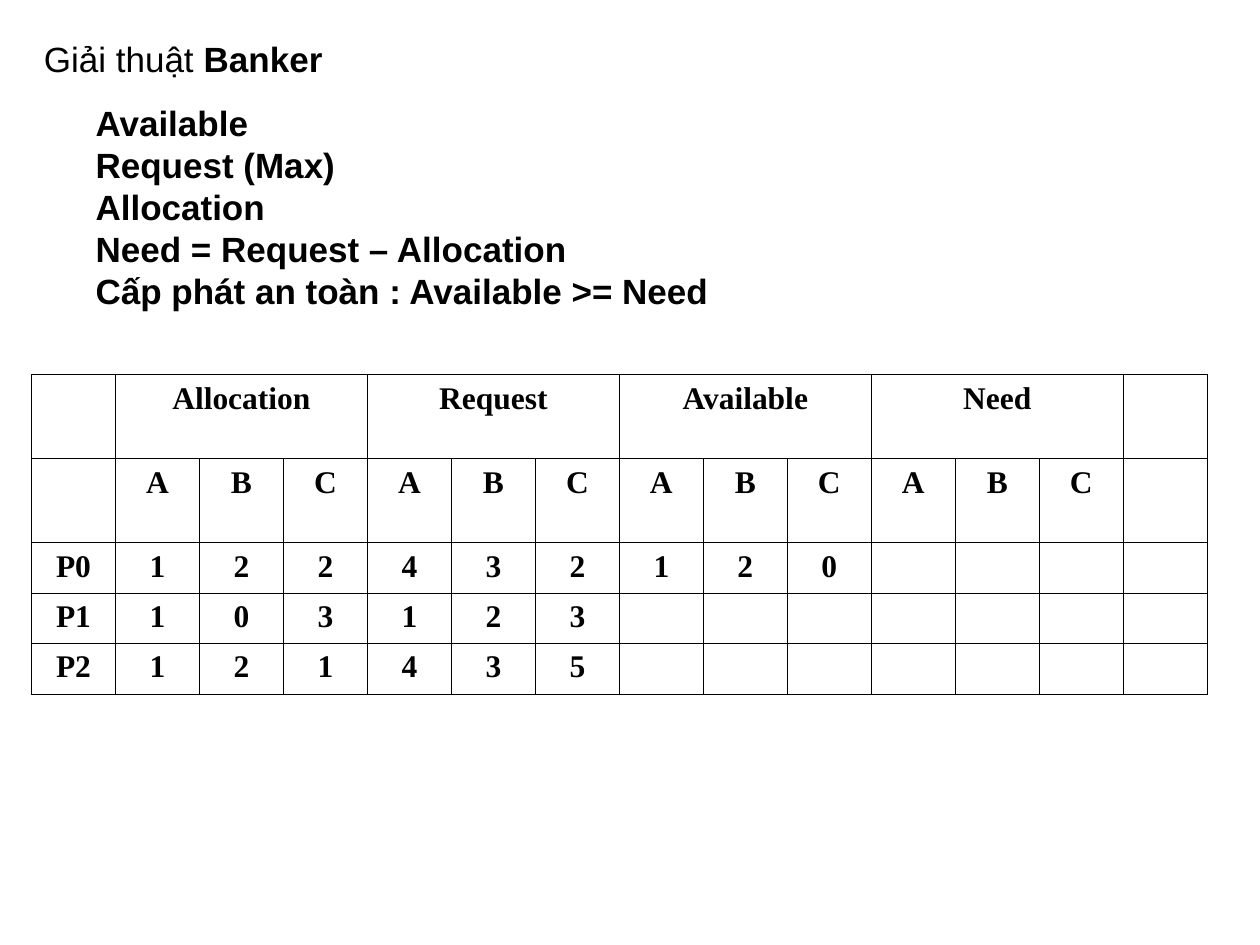
import lxml.etree
import pptx
import pptx.dml.color
import pptx.enum.text
import pptx.oxml.ns
import pptx.util

theme = {
    "ink": "000000",
    "sans": "Arial",
    "serif": "Times New Roman",
    "body": 20,
    "cell": 18,
    "line": 0.45,
}
ink = pptx.dml.color.RGBColor.from_string(theme["ink"])
qn = pptx.oxml.ns.qn


def style(font, face, size, bold):
    font.name = face
    font.size = pptx.util.Pt(size)
    font.bold = bold
    font.color.rgb = ink


def frame(cell):
    props = cell._tc.get_or_add_tcPr()
    for side in ("lnL", "lnR", "lnT", "lnB"):
        edge = lxml.etree.SubElement(props, qn("a:" + side))
        edge.set("w", str(pptx.util.Pt(theme["line"])))
        fill = lxml.etree.SubElement(edge, qn("a:solidFill"))
        lxml.etree.SubElement(fill, qn("a:srgbClr")).set("val", theme["ink"])
    cell.fill.background()


deck = pptx.Presentation()
deck.slide_width = pptx.util.Inches(10)
deck.slide_height = pptx.util.Inches(7.5)
slide = deck.slides.add_slide(deck.slide_layouts[6])
unit = deck.slide_width // 15
left = deck.slide_width // 40
fit = pptx.enum.text.MSO_AUTO_SIZE.SHAPE_TO_FIT_TEXT
center = pptx.enum.text.PP_ALIGN.CENTER

box = slide.shapes.add_textbox(left, left, unit * 7.5, unit * 0.66)
title = box.text_frame
title.word_wrap = True
title.auto_size = fit
for text, bold in (("Giải thuật ", False), ("Banker", True)):
    run = title.paragraphs[0].add_run()
    run.text = text
    style(run.font, theme["sans"], theme["body"], bold)

terms = [
    "Available",
    "Request (Max)",
    "Allocation",
    "Need = Request – Allocation",
    "Cấp phát an toàn : Available >= Need",
]
box = slide.shapes.add_textbox(unit * 0.99, unit * 1.13, unit * 7.64, unit * 2.66)
notes = box.text_frame
notes.word_wrap = False
notes.auto_size = fit
notes.text = "\n".join(terms)
for para in notes.paragraphs:
    style(para.font, theme["sans"], theme["body"], True)

heads = ["Allocation", "Request", "Available", "Need"]
rows = [
    [""] + [text for head in heads for text in (head, "", "")],
    [""] + list("ABC") * len(heads),
    ["P0"] + list("122432120"),
    ["P1"] + list("103123"),
    ["P2"] + list("121435"),
]
tall = [1, 1, 0.6, 0.6, 0.6]
cols = 14
shape = slide.shapes.add_table(
    len(rows), cols, left, unit * 4.46, unit * cols, int(unit * sum(tall))
)
table = shape.table
table.first_row = False
table.horz_banding = False
for col in table.columns:
    col.width = unit
for row, size in zip(table.rows, tall):
    row.height = int(unit * size)
for y, texts in enumerate(rows):
    for x in range(cols):
        cell = table.cell(y, x)
        cell.text = texts[x] if x < len(texts) else ""
        para = cell.text_frame.paragraphs[0]
        para.alignment = center
        style(para.font, theme["serif"], theme["cell"], True)
        frame(cell)
for x in range(1, cols - 1, 3):
    table.cell(0, x).merge(table.cell(0, x + 2))

deck.save("out.pptx")
